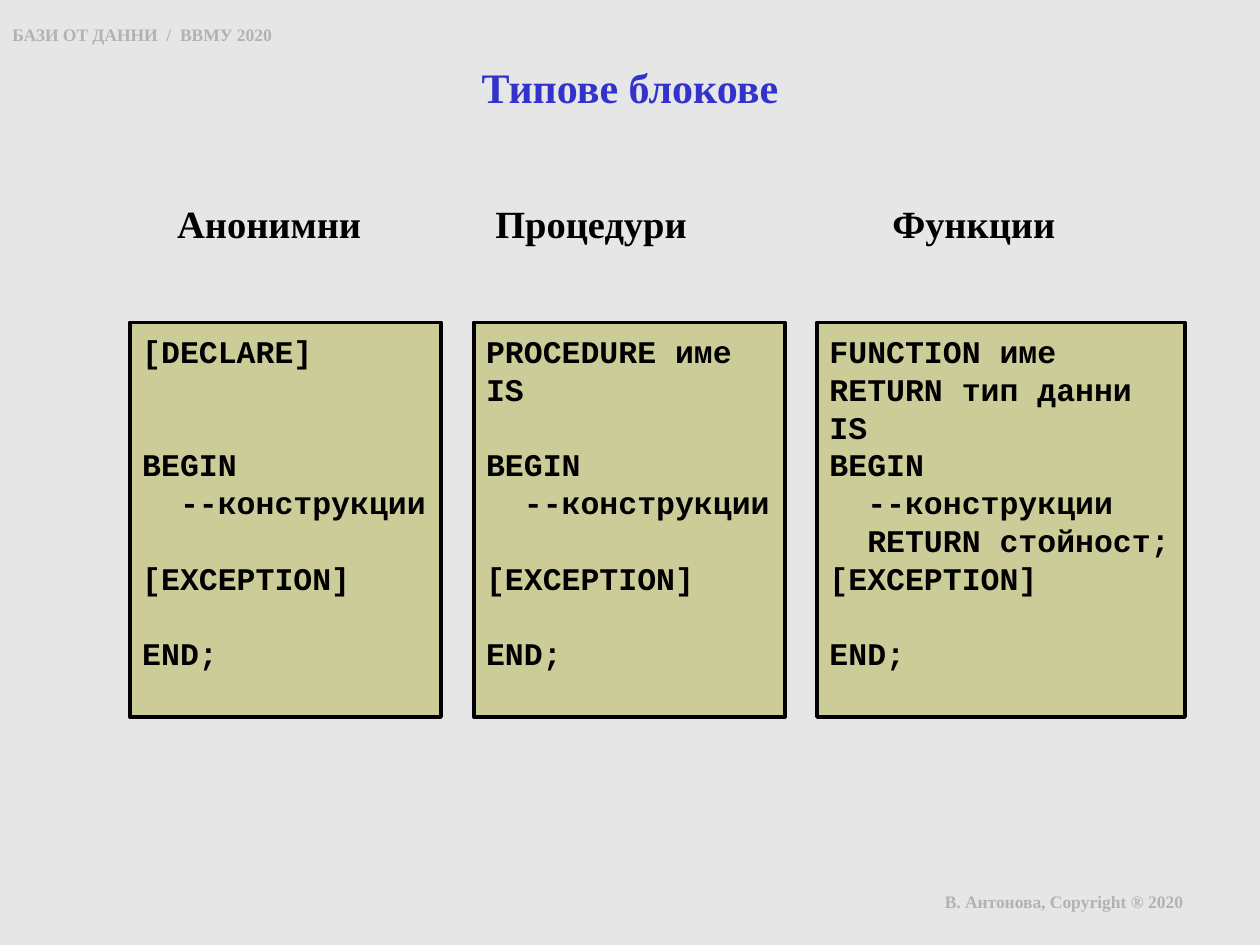
from lxml import etree
from pptx import Presentation
from pptx.dml.color import RGBColor
from pptx.enum.shapes import MSO_SHAPE
from pptx.enum.text import MSO_ANCHOR, PP_ALIGN
from pptx.oxml.ns import qn
from pptx.util import Pt

RECTANGLE = MSO_SHAPE.RECTANGLE
TOP = MSO_ANCHOR.TOP
LEFT, CENTER = PP_ALIGN.LEFT, PP_ALIGN.CENTER

BACKGROUND = RGBColor(0xE6, 0xE6, 0xE6)
GRAY = RGBColor(0xB2, 0xB2, 0xB2)
BLUE = RGBColor(0x33, 0x33, 0xCC)
BLACK = RGBColor(0, 0, 0)
KHAKI = RGBColor(0xCC, 0xCC, 0x99)

LINE_PITCH = 21.57
CODE_INDENT = 21.6
HEADING_STOPS = (52.4, 234.2, 461)


def style(para, font_name, size, color):
    para.font.name = font_name
    para.font.size = Pt(size)
    para.font.bold = True
    para.font.color.rgb = color


def add_label(text, left, top, width, height, size, color, inset=(7.2, 3.6)):
    """Add a one-paragraph text box; inset is (horizontal, vertical)."""
    box = page.shapes.add_textbox(Pt(left), Pt(top), Pt(width), Pt(height))
    frame = box.text_frame
    frame.word_wrap = True
    frame.margin_left = frame.margin_right = Pt(inset[0])
    frame.margin_top = frame.margin_bottom = Pt(inset[1])
    para = frame.paragraphs[0]
    para.text = text
    style(para, "Times New Roman", size, color)
    return para


deck = Presentation()
deck.slide_width, deck.slide_height = Pt(720), Pt(540)
page = deck.slides.add_slide(deck.slide_layouts[6])
page.background.fill.solid()
page.background.fill.fore_color.rgb = BACKGROUND

add_label("БАЗИ ОТ ДАННИ  /  ВВМУ 2020", 0, 10, 215, 19.4, 10, GRAY)
add_label("В. Антонова, Copyright ® 2020", 532.8, 505.4, 187.2, 30.2, 10, GRAY)

title = add_label("Типове блокове", 48.2, 34.6, 623.5, 69, 24, BLUE, (0.72, 0.72))
title.alignment = CENTER
title.space_before = Pt(3)

headings = add_label("\tАнонимни\tПроцедури\tФункции",
                     48.2, 113.8, 623.5, 28.8, 22, BLACK, (0.72, 0.72))
headings.space_before = Pt(3)
tab_list = etree.SubElement(headings._p.get_or_add_pPr(), qn("a:tabLst"))
for stop in HEADING_STOPS:
    etree.SubElement(tab_list, qn("a:tab"), pos=str(Pt(stop)), algn="l")

# Each code line: row in the block, indent level, text
ending = [(6, 0, "[EXCEPTION]"), (8, 0, "END;")]
body = [(3, 0, "BEGIN"), (4, 1, "--конструкции")]
blocks = [
    (74.2, 177.8, [(0, 0, "[DECLARE]")] + body + ending),
    (270.7, 177.8, [(0, 0, "PROCEDURE име"), (1, 0, "IS")] + body + ending),
    (466.9, 210.2, [(0, 0, "FUNCTION име"), (1, 0, "RETURN тип данни"), (2, 0, "IS")]
     + body + [(5, 1, "RETURN стойност;")] + ending),
]
for left, width, lines in blocks:
    box = page.shapes.add_shape(RECTANGLE, Pt(left), Pt(184.3), Pt(width), Pt(225.4))
    box.shadow.inherit = False
    box.fill.solid()
    box.fill.fore_color.rgb = KHAKI
    box.line.color.rgb = BLACK
    box.line.width = Pt(2.25)
    frame = box.text_frame
    frame.word_wrap = True
    frame.vertical_anchor = TOP
    frame.margin_left, frame.margin_right = Pt(7.2), Pt(0)
    frame.margin_top = Pt(5.5)
    previous_row = -1
    for row, level, text in lines:
        para = frame.paragraphs[0] if row == 0 else frame.add_paragraph()
        para.text = text
        para.alignment = LEFT
        para.line_spacing = Pt(LINE_PITCH)
        para.space_before = Pt((row - previous_row - 1) * LINE_PITCH)
        para._p.get_or_add_pPr().set("marL", str(Pt(level * CODE_INDENT)))
        style(para, "Courier New", 18, BLACK)
        previous_row = row

deck.save("out.pptx")
